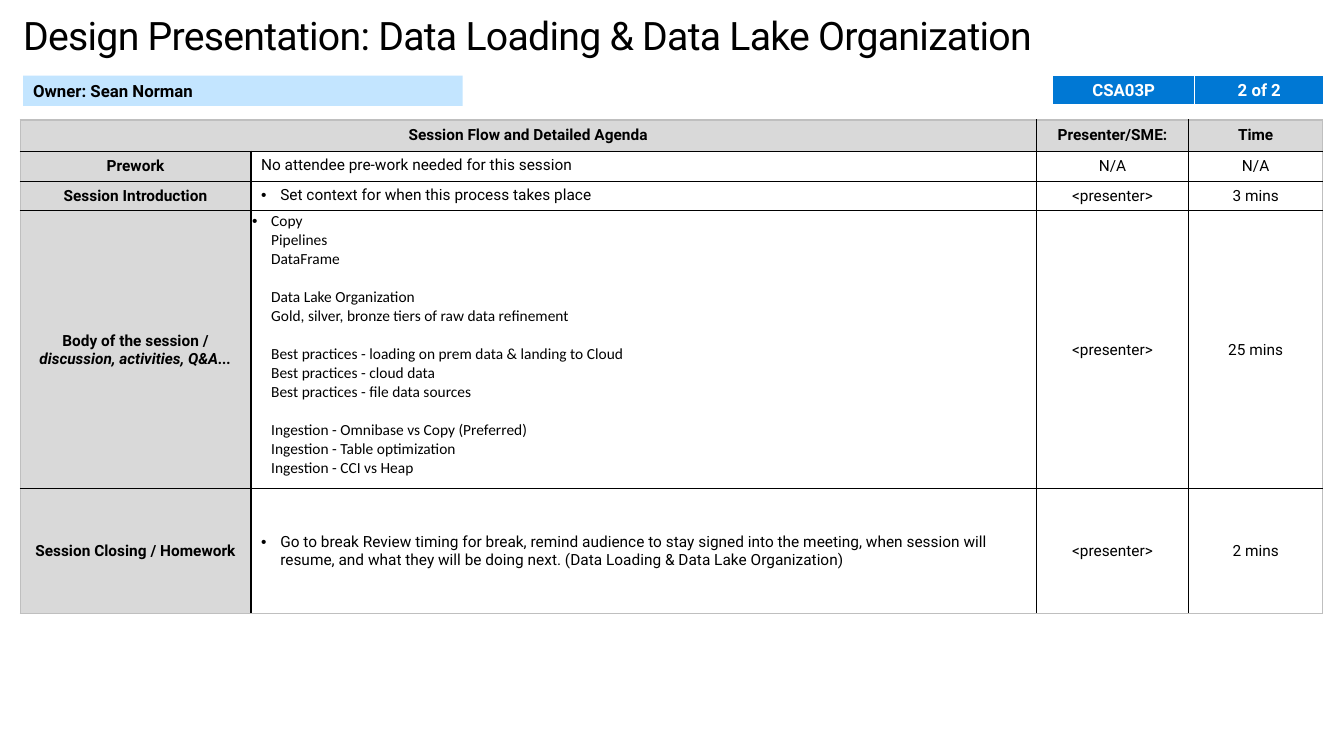
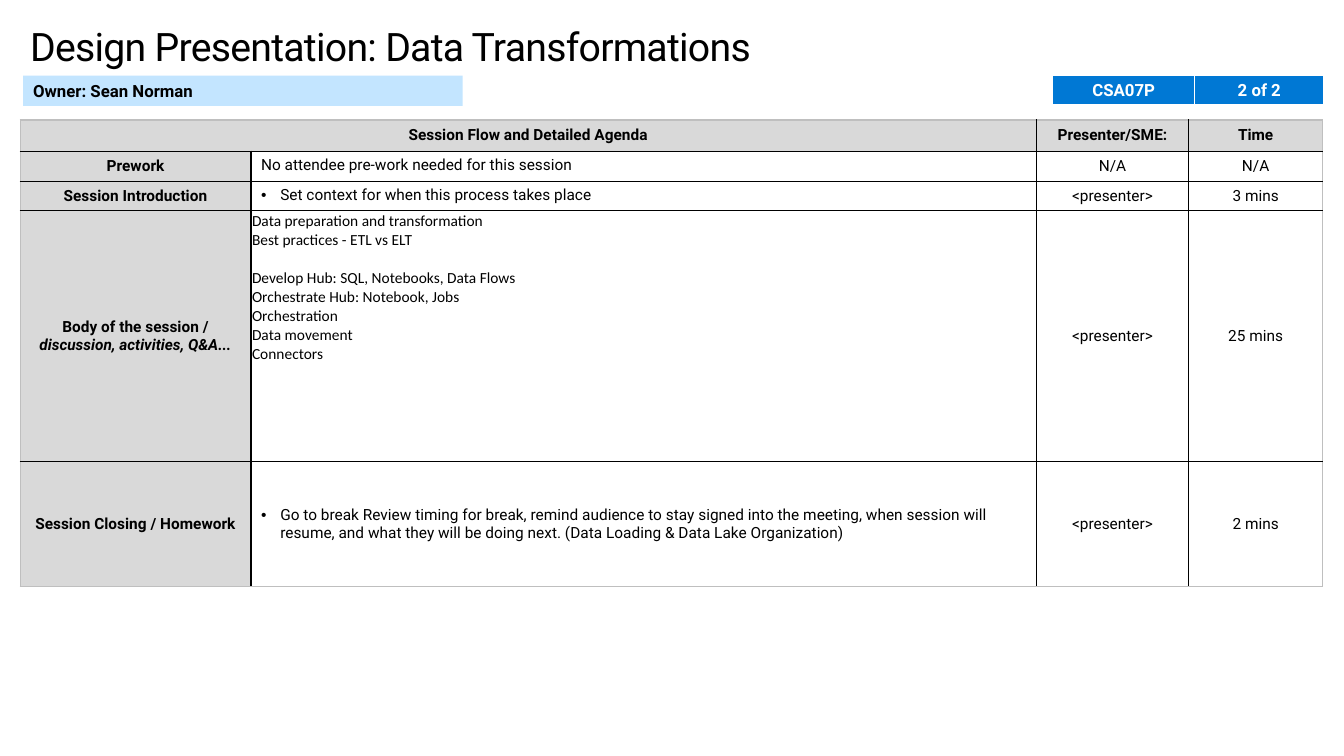
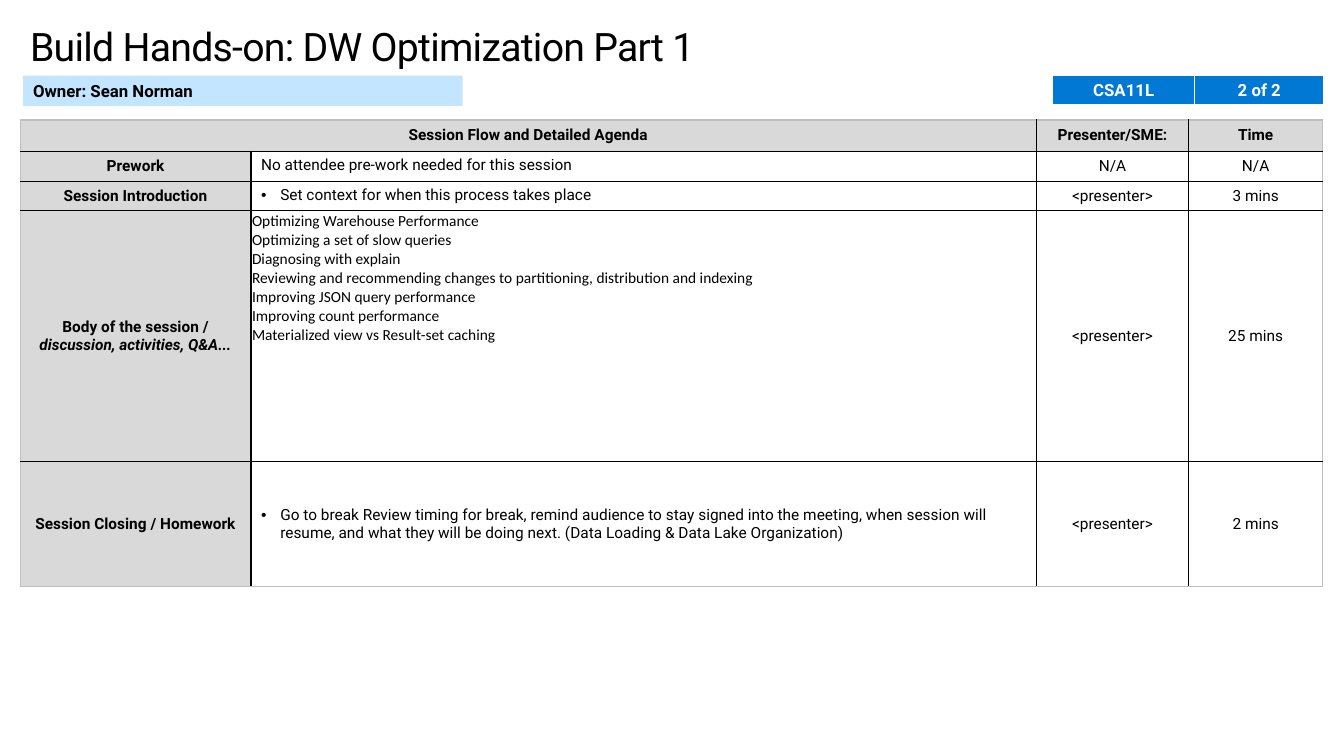
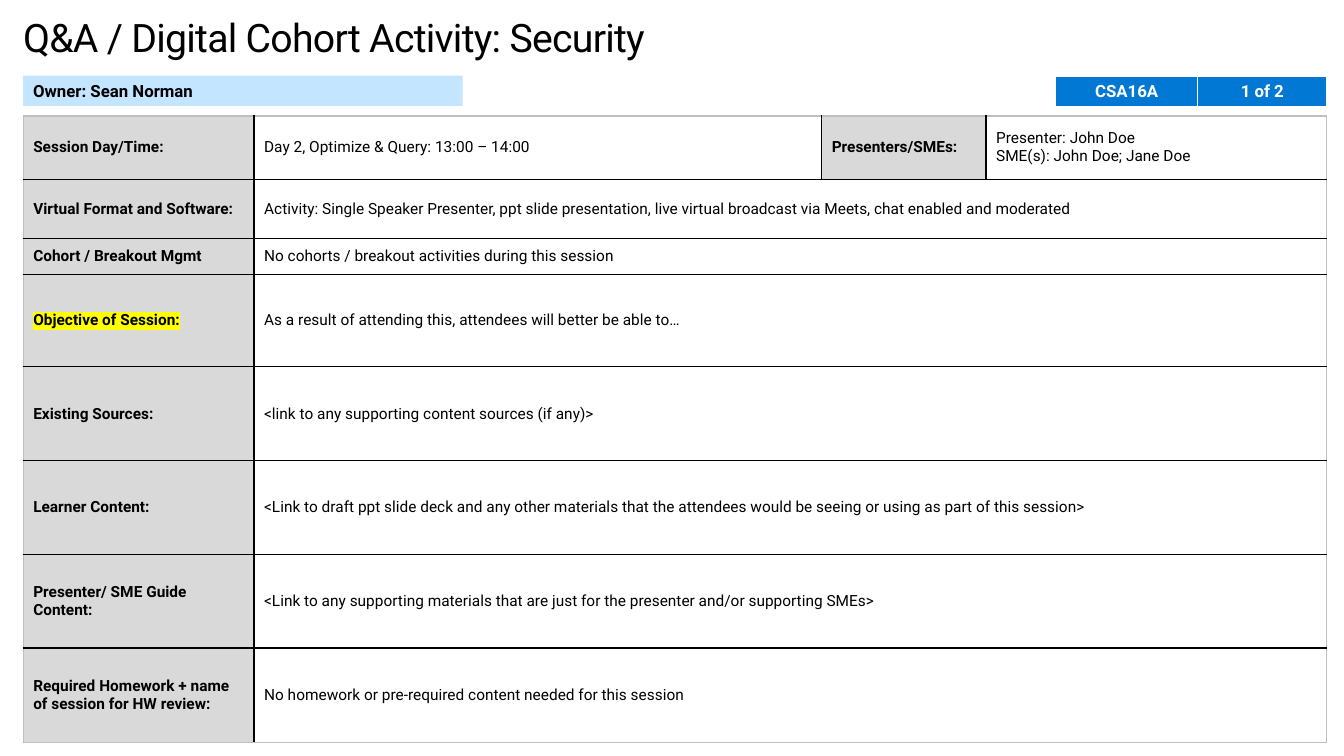
import pptx
import pptx.util
import pptx.dml.color
import pptx.enum.shapes
import pptx.enum.text
import pptx.oxml
import pptx.oxml.ns

Inches = pptx.util.Inches
Pt = pptx.util.Pt
ALIGN = pptx.enum.text.PP_ALIGN
ANCHOR = pptx.enum.text.MSO_ANCHOR
qn = pptx.oxml.ns.qn

COLORS = {
    "ink": "000000",
    "paper": "FFFFFF",
    "label": "D9D9D9",
    "frame": "BFBFBF",
    "owner": "C3E5FF",
    "code": "0078D4",
    "marker": "FFFF00",
}
FONT = "Roboto"
BODY_FONT = "Calibri"
HANG = 0.19
GROUP_GAP = 13.5


def rgb(color):
    return pptx.dml.color.RGBColor.from_string(COLORS[color])


def xml_color(tag, color):
    element = pptx.oxml.parse_xml(f'<a:{tag} {pptx.oxml.ns.nsdecls("a")}/>')
    element.append(pptx.oxml.parse_xml(
        f'<a:srgbClr {pptx.oxml.ns.nsdecls("a")} val="{COLORS[color]}"/>'))
    return element


def line(text, **options):
    return {"text": text, **options}


def label(*lines, **options):
    return {"lines": lines, "fill": "label", "format": {"bold": True}, **options}


def entry(*lines, **options):
    return {"lines": lines, **options}


class Deck:
    def __init__(self):
        self.presentation = pptx.Presentation()
        self.presentation.slide_width = Inches(13.33)
        self.presentation.slide_height = Inches(7.5)
        self.slide = None

    def new_slide(self):
        self.slide = self.presentation.slides.add_slide(self.presentation.slide_layouts[6])

    def put_lines(self, frame, lines, align=ALIGN.LEFT, color="ink", **base):
        for index, item in enumerate(lines):
            item = line(item) if isinstance(item, str) else item
            paragraph = frame.paragraphs[0] if index == 0 else frame.add_paragraph()
            paragraph.alignment = align
            if item.get("gap"):
                paragraph.space_before = Pt(GROUP_GAP)
            self.indent(paragraph, item)
            run = paragraph.add_run()
            run.text = item["text"]
            style = {"name": FONT, "size": Pt(11), "bold": False, **base, **item.get("format", {})}
            for name, value in style.items():
                setattr(run.font, name, value)
            run.font.color.rgb = rgb(color)
            properties = run.font._element
            if "highlight" in item:
                properties.find(qn("a:latin")).addprevious(
                    xml_color("highlight", item["highlight"]))
            if "spacing" in item:
                properties.set("spc", str(item["spacing"]))

    def indent(self, paragraph, item):
        if not (item.get("bullet") or item.get("hanging")):
            return
        properties = paragraph._p.get_or_add_pPr()
        properties.set("marL", str(Inches(HANG)))
        properties.set("indent", str(-Inches(HANG) if item.get("bullet") else 0))
        if item.get("bullet"):
            for tag, name, value in (("buFont", "typeface", "Arial"), ("buChar", "char", "•")):
                properties.append(pptx.oxml.parse_xml(
                    f'<a:{tag} {pptx.oxml.ns.nsdecls("a")} {name}="{value}"/>'))

    def title(self, text, left, top, width, height, inset=True):
        frame = self.slide.shapes.add_textbox(
            Inches(left), Inches(top), Inches(width), Inches(height)).text_frame
        frame.word_wrap = True
        if not inset:
            for side in ("left", "top", "right", "bottom"):
                setattr(frame, f"margin_{side}", 0)
        self.put_lines(frame, [line(text, spacing=-50)], size=Pt(28))

    def owner(self, name):
        band = self.slide.shapes.add_shape(
            pptx.enum.shapes.MSO_SHAPE.RECTANGLE,
            Inches(0.23), Inches(0.75), Inches(4.36), Inches(0.3))
        band.shadow.inherit = False
        band.fill.solid()
        band.fill.fore_color.rgb = rgb("owner")
        band.line.fill.background()
        band.text_frame.word_wrap = True
        band.text_frame.vertical_anchor = ANCHOR.MIDDLE
        self.put_lines(band.text_frame, [f"Owner: {name}"], size=Pt(12), bold=True)

    def borders(self, cell, edges):
        properties = cell._tc.get_or_add_tcPr()
        for index, (side, (color, width)) in enumerate(edges.items()):
            border = pptx.oxml.parse_xml(
                f'<a:ln{side} {pptx.oxml.ns.nsdecls("a")} w="{Pt(width)}"/>')
            border.append(xml_color("solidFill", color))
            properties.insert(index, border)

    def table(self, left, top, widths, heights, rows, edges_of):
        table = self.slide.shapes.add_table(
            len(heights), len(widths), Inches(left), Inches(top),
            Inches(sum(widths)), Inches(sum(heights))).table
        table.first_row = table.horz_banding = False
        for column, width in zip(table.columns, widths):
            column.width = Inches(width)
        for row, height in zip(table.rows, heights):
            row.height = Inches(height)
        for r, row in enumerate(rows):
            for c, content in enumerate(row):
                cell = table.cell(r, c)
                last = c
                if content and "span" in content:
                    last = c + content["span"] - 1
                    cell.merge(table.cell(r, last))
                content = content or entry()
                cell.fill.solid()
                cell.fill.fore_color.rgb = rgb(content.get("fill", "paper"))
                cell.vertical_anchor = content.get("anchor", ANCHOR.MIDDLE)
                for side, margin in content.get("margins", {}).items():
                    setattr(cell, f"margin_{side}", Inches(margin))
                self.put_lines(cell.text_frame, content["lines"],
                               align=content.get("align", ALIGN.LEFT),
                               color=content.get("color", "ink"), **content.get("format", {}))
                self.borders(cell, edges_of(r, c, last))

    def framed_table(self, left, top, widths, heights, rows):
        def edges_of(r, first, last):
            outer = {"L": first == 0, "R": last == len(widths) - 1,
                     "T": r == 0, "B": r == len(heights) - 1}
            return {side: ("frame" if at_edge else "ink", 1) for side, at_edge in outer.items()}

        self.table(left, top, widths, heights, rows, edges_of)

    def session_code(self, code, page, left=10.44, top=0.75, height=0.3):
        edges = {side: ("paper", 3 if side == "B" else 1) for side in "LRTB"}
        cells = [entry(text, fill="code", color="paper", align=ALIGN.CENTER, anchor=ANCHOR.TOP,
                       format={"size": Pt(12), "bold": True}) for text in (code, page)]
        self.table(left, top, [1.41, 1.28], [height], [cells], lambda r, first, last: edges)

    def agenda(self, body, body_height=2.49):
        center = {"align": ALIGN.CENTER}
        top = {"anchor": ANCHOR.TOP}

        def timing(presenter, time):
            return [entry(presenter, **center), entry(time, **center)]

        rows = [
            [label("Session Flow and Detailed Agenda", span=2, **center), None,
             label("Presenter/SME:", **center), label("Time", **center)],
            [label("Prework", **center),
             entry("No attendee pre-work needed for this session", **top),
             *timing("N/A", "N/A")],
            [label("Session Introduction", **center),
             entry(line("Set context for when this process takes place", bullet=True), **top),
             *timing("<presenter>", "3 mins")],
            [label("Body of the session /",
                   line("discussion, activities, Q&A...", format={"italic": True}), **center),
             entry(*body, format={"name": BODY_FONT},
                   margins={"left": 0.01, "top": 0.01, "right": 0.01, "bottom": 0}, **top),
             *timing("<presenter>", "25 mins")],
            [label("Session Closing / Homework", **center),
             entry(line("Go to break Review timing for break, remind audience to stay signed into "
                        "the meeting, when session will resume, and what they will be doing next. "
                        "(Data Loading & Data Lake Organization)", bullet=True)),
             *timing("<presenter>", "2 mins")],
        ]
        self.framed_table(0.2, 1.19, [2.29, 7.79, 1.51, 1.33],
                          [0.31, 0.3, 0.29, body_height, 1.24], rows)


def grouped(groups, **options):
    return [line(text, gap=g > 0 and i == 0, **options)
            for g, group in enumerate(groups) for i, text in enumerate(group)]


LOADING = [
    ["Copy", "Pipelines", "DataFrame"],
    ["Data Lake Organization", "Gold, silver, bronze tiers of raw data refinement"],
    ["Best practices - loading on prem data & landing to Cloud",
     "Best practices - cloud data", "Best practices - file data sources"],
    ["Ingestion - Omnibase vs Copy (Preferred)", "Ingestion - Table optimization",
     "Ingestion - CCI vs Heap"],
]
TRANSFORMATIONS = [
    ["Data preparation and transformation", "Best practices - ETL vs ELT"],
    ["Develop Hub: SQL, Notebooks, Data Flows", "Orchestrate Hub: Notebook, Jobs",
     "Orchestration", "Data movement", "Connectors"],
]
OPTIMIZATION = [
    ["Optimizing Warehouse Performance", "Optimizing a set of slow queries",
     "Diagnosing with explain",
     "Reviewing and recommending changes to partitioning, distribution and indexing",
     "Improving JSON query performance", "Improving count performance",
     "Materialized view vs Result-set caching"],
]
SESSION_FACTS = [
    ("Virtual Format and Software:",
     "Activity: Single Speaker Presenter, ppt slide presentation, live virtual broadcast "
     "via Meets, chat enabled and moderated"),
    ("Cohort / Breakout Mgmt", "No cohorts / breakout activities during this session"),
    (line("Objective of Session:", highlight="marker"),
     "As a result of attending this, attendees will better be able to…"),
    ("Existing Sources:", "<link to any supporting content sources (if any)>"),
    ("Learner Content:",
     "<Link to draft ppt slide deck and any other materials that the attendees would be "
     "seeing or using as part of this session>"),
    ("Presenter/ SME Guide Content:",
     "<Link to any supporting materials that are just for the presenter and/or supporting SMEs>"),
    ("Required Homework + name of session for HW review:",
     "No homework or pre-required content needed for this session"),
]


def main():
    deck = Deck()
    owner = "Sean Norman"

    deck.new_slide()
    loading = grouped(LOADING, hanging=True)
    loading[0]["bullet"] = True
    deck.agenda(loading, body_height=2.76)
    deck.title("Design Presentation: Data Loading & Data Lake Organization",
               0.23, 0.11, 12.87, 0.47, inset=False)
    deck.owner(owner)
    deck.session_code("CSA03P", "2 of 2")

    for title, code, body in (
            ("Design Presentation: Data Transformations", "CSA07P", TRANSFORMATIONS),
            ("Build Hands-on: DW Optimization Part 1", "CSA11L", OPTIMIZATION)):
        deck.new_slide()
        deck.agenda(grouped(body))
        deck.owner(owner)
        deck.session_code(code, "2 of 2")
        deck.title(title, 0.2, 0.17, 12.9, 0.57)

    deck.new_slide()
    deck.title("Q&A / Digital Cohort Activity: Security", 0.23, 0.13, 12.87, 0.47, inset=False)
    schedule = [label("Session Day/Time:"), entry("Day 2, Optimize & Query: 13:00 – 14:00"),
                label("Presenters/SMEs:"),
                entry("Presenter: John Doe", "SME(s): John Doe; Jane Doe")]
    facts = [[label(name), entry(text, span=3), None, None] for name, text in SESSION_FACTS]
    deck.framed_table(0.23, 1.15, [2.29, 5.63, 1.63, 3.38],
                      [0.63, 0.59, 0.35, 0.92, 0.93, 0.93, 0.93, 0.94], [schedule, *facts])
    deck.owner(owner)
    deck.session_code("CSA16A", "1 of 2", left=10.47, top=0.76, height=0.31)

    deck.presentation.save("out.pptx")


if __name__ == "__main__":
    main()
